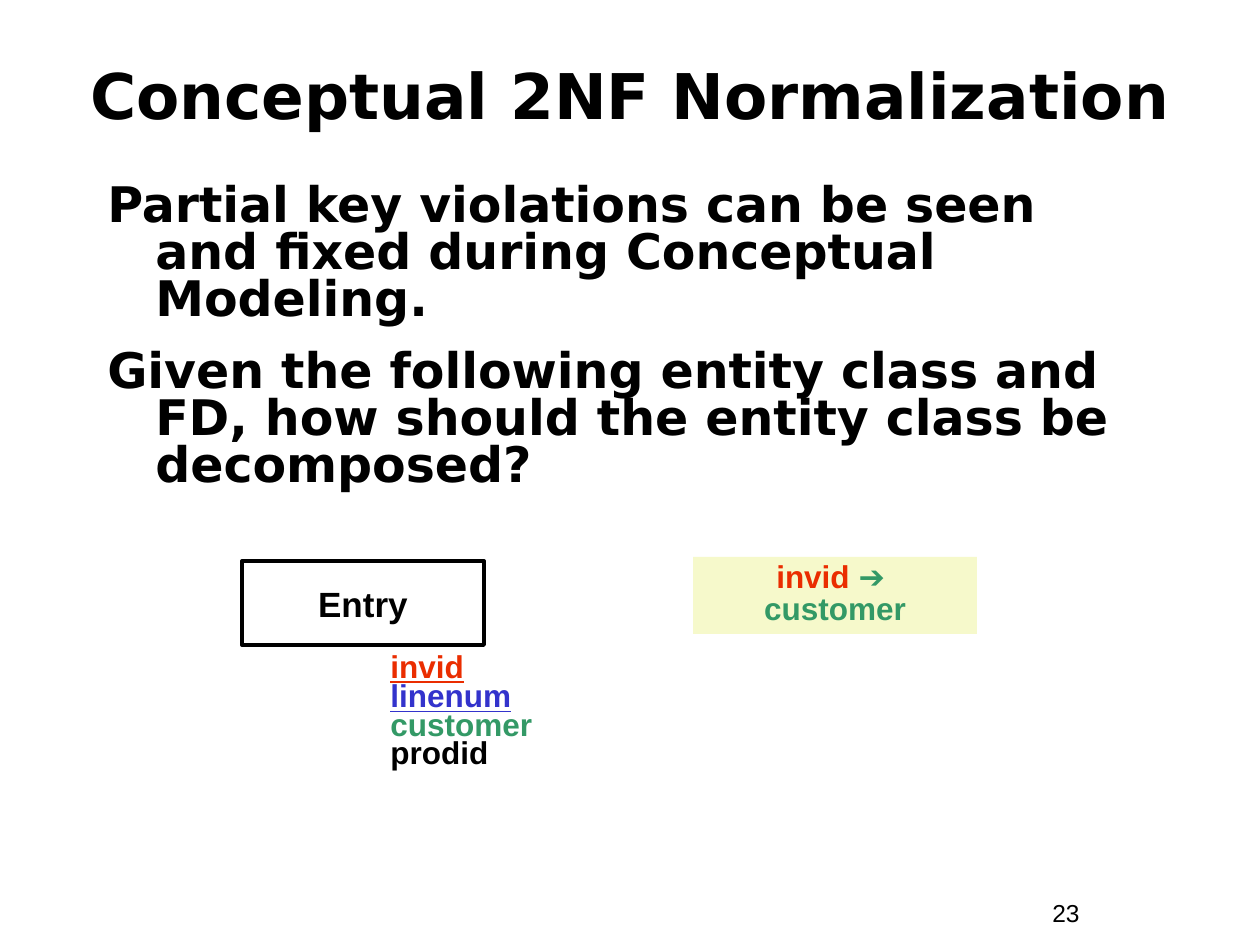
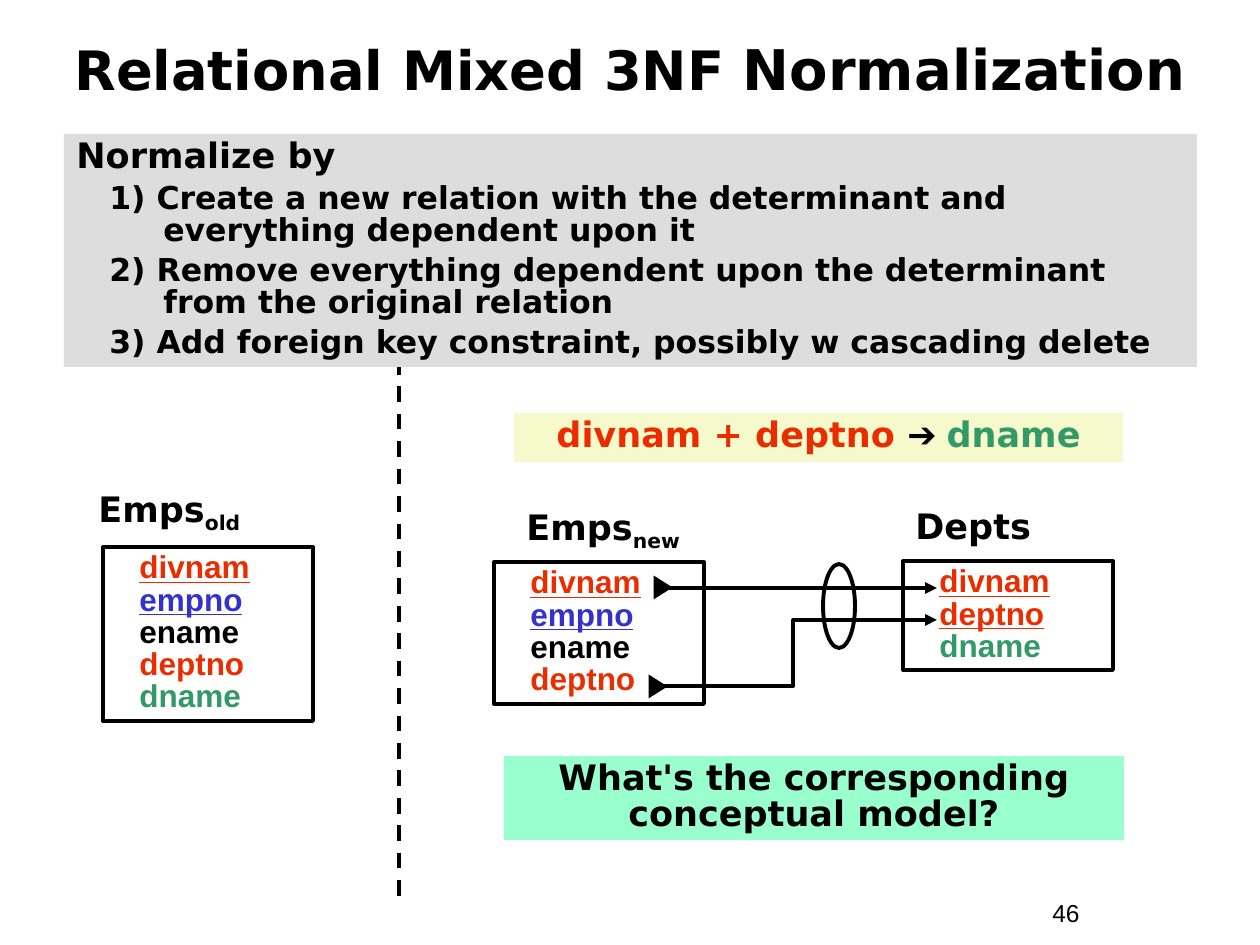
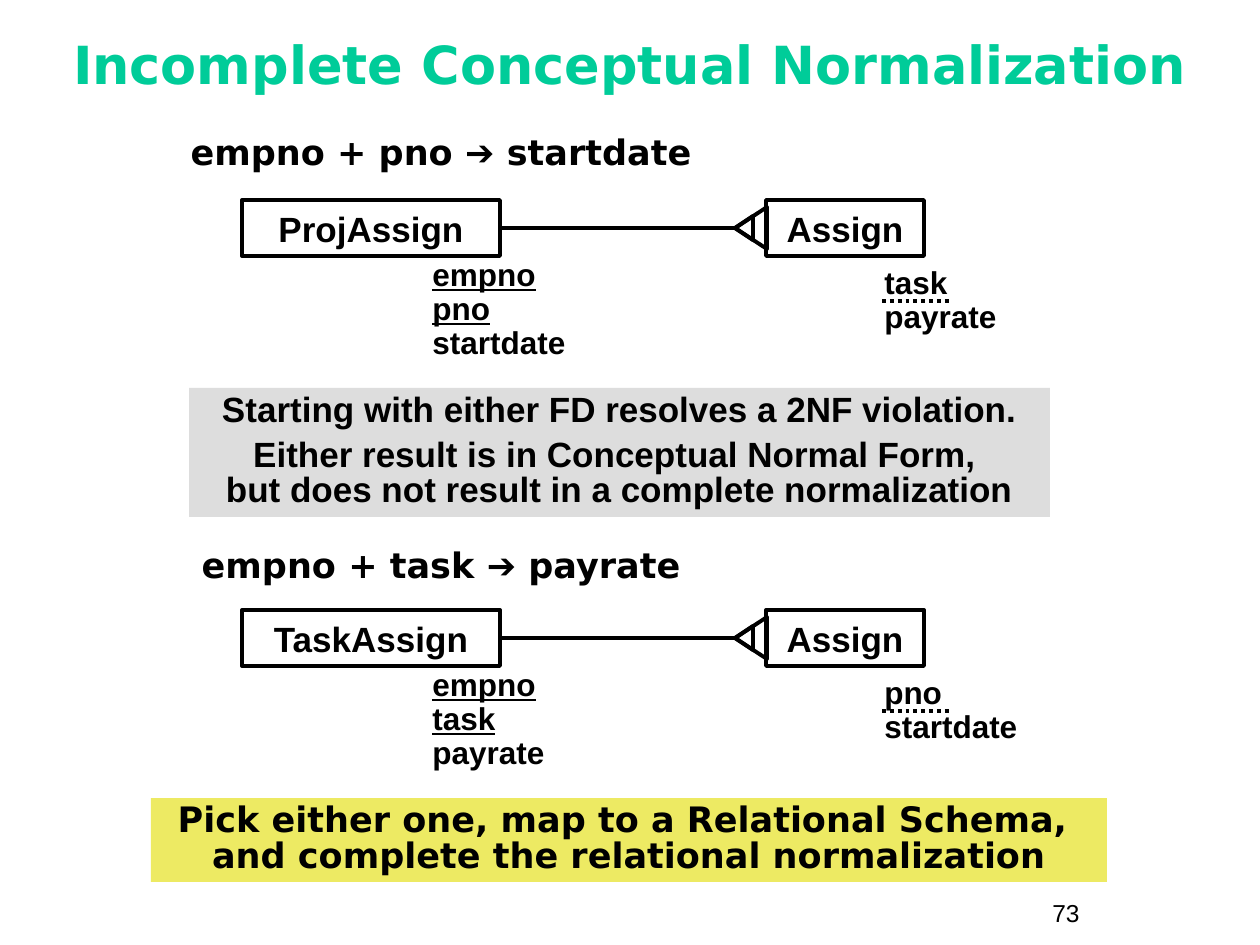
from lxml.etree import SubElement
from pptx import Presentation
from pptx.dml.color import RGBColor
from pptx.enum.dml import MSO_LINE
from pptx.enum.shapes import MSO_CONNECTOR, MSO_SHAPE
from pptx.enum.text import MSO_ANCHOR, PP_ALIGN
from pptx.oxml.ns import qn
from pptx.util import Emu, Pt

PX = 914400 / 126
SANS, ARIAL = "DejaVu Sans", "Arial"
BLACK, RED, BLUE, GREEN, TEAL = "000000", "EA2D00", "3333CC", "339966", "00CC99"
GREY, CREAM, MINT, YELLOW = "DDDDDD", "F6F9CB", "99FFCC", "EDEA63"
STROKE = 2.25

# Run styles for attribute names
RED_KEY = {"color": RED, "under": True}
BLUE_KEY = {"color": BLUE, "under": True}
KEY = {"under": True}
LINK = {"color": RED}
FACT = {"color": GREEN}
PLAIN = {}
SUB = {"base": -25000}
ARROW = {"font": ARIAL}


def para(*runs, **form):
    """Pair the (text, style) runs of a paragraph with its own format."""
    return runs, form


def names(*pairs):
    """Give each attribute name a paragraph of its own."""
    return [para(pair) for pair in pairs]


# Content: slide 1
BODY = [
    "Partial key violations can be seen and fixed during Conceptual Modeling.",
    "Given the following entity class and FD, how should the entity class be decomposed?",
]
ENTRY = [
    para(("invid", RED_KEY), space=0.9),
    *names(("linenum", BLUE_KEY), ("customer", FACT), ("prodid", PLAIN)),
]
ENTRY_FD = [para(("invid ", LINK), ("➔ \ncustomer", FACT))]

# Content: slide 2
STEPS = [
    "1) Create a new relation with the determinant and everything dependent upon it",
    "2) Remove everything dependent upon the determinant from the original relation",
    "3) Add foreign key constraint, possibly w cascading delete",
]
EMPS = [("divnam", RED_KEY), ("empno", BLUE_KEY), ("ename", PLAIN), ("deptno", LINK)]
# name runs, name place, columns, box place
TABLES = [
    ([("Depts", PLAIN)], (903, 498, 210, 55),
     [("divnam", RED_KEY), ("deptno", RED_KEY), ("dname", FACT)], (903, 561, 210, 109)),
    ([("Emps", PLAIN), ("new", SUB)], (514, 499, 189, 60),
     EMPS, (494, 562, 210, 142)),
    ([("Emps", PLAIN), ("old", SUB)], (86, 481, 302, 60),
     EMPS + [("dname", FACT)], (103, 547, 210, 174)),
]
DEPT_FD = [para(("divnam + deptno ", LINK), ("➔ ", ARROW), ("dname", FACT))]

# Content: slide 3 (box top, FD top, determinant, dependent, entity, keys, rest)
MODELS = [
    (200, 131, "empno + pno ", " startdate", "ProjAssign",
     ("empno", "pno", "startdate"), ["task", "payrate"]),
    (610, 544, "empno + task ", " payrate", "TaskAssign",
     ("empno", "task", "payrate"), ["pno", "startdate"]),
]
VERDICT = [
    "Starting with either FD resolves a 2NF violation.",
    para(("Either result is in Conceptual Normal Form, \n"
          "but does not result in a complete normalization", PLAIN), before=5),
]
ADVICE = "Pick either one, map to a Relational Schema, \nand complete the relational normalization"


def px(*nums):
    return [Emu(round(n * PX)) for n in nums]


def rgb(code):
    return RGBColor.from_string(code)


def style(font, name=None, size=None, color=None, bold=None, under=None):
    if name:
        font.name = name
    if size:
        font.size = Pt(size)
    if color:
        font.color.rgb = rgb(color)
    if bold is not None:
        font.bold = bold
    if under:
        font.underline = True


def add_runs(p, runs):
    for text, look in runs:
        for i, line in enumerate(text.split("\n")):
            if i:
                p.add_line_break()
            run = p.add_run()
            run.text = line
            style(run.font, look.get("font"), look.get("size"), look.get("color"),
                  under=look.get("under"))
            if "base" in look:
                run.font._element.set("baseline", str(look["base"]))


def write(shape, paras, wrap=True, anchor=MSO_ANCHOR.TOP, **form):
    """Fill a shape with paragraphs: strings or results of para()."""
    frame = shape.text_frame
    frame.word_wrap = wrap
    frame.vertical_anchor = anchor
    for i, item in enumerate([paras] if isinstance(paras, str) else paras):
        runs, own = para((item, PLAIN)) if isinstance(item, str) else item
        look = {"font": SANS, "size": 20, "color": BLACK, "bold": True,
                "align": PP_ALIGN.LEFT, "space": 1.0, "before": 0, "level": 0,
                "left": 0, "first": 0, **form, **own}
        p = frame.paragraphs[0] if i == 0 else frame.add_paragraph()
        p.alignment, p.level = look["align"], look["level"]
        p.line_spacing = look["space"]
        p.space_before = Pt(look["before"] if i else 0)
        props = p._p.get_or_add_pPr()
        for name, key in (("marL", "left"), ("indent", "first")):
            props.set(name, str(px(look[key])[0]))
        style(p.font, look["font"], look["size"], look["color"], look["bold"])
        add_runs(p, runs)


def label(slide, place, paras, **form):
    write(slide.shapes.add_textbox(*px(*place)), paras, **form)


def draw(slide, place, kind=MSO_SHAPE.RECTANGLE, fill=None, line=None, turn=0):
    shape = slide.shapes.add_shape(kind, *px(*place))
    shape.shadow.inherit = False
    shape.rotation = turn
    if fill:
        shape.fill.solid()
        shape.fill.fore_color.rgb = rgb(fill)
    else:
        shape.fill.background()
    if line:
        shape.line.color.rgb = rgb(line)
        shape.line.width = Pt(STROKE)
    else:
        shape.line.fill.background()
    return shape


def banner(slide, place, fill, paras, **form):
    form = {"align": PP_ALIGN.CENTER, "space": 0.85, **form}
    write(draw(slide, place, fill=fill), paras, **form)


def entity(slide, place, name):
    box = draw(slide, place, line=BLACK)
    write(box, name, wrap=False, anchor=MSO_ANCHOR.MIDDLE, font=ARIAL,
          align=PP_ALIGN.CENTER)
    return box


def link(slide, ends, kind=MSO_CONNECTOR.STRAIGHT, dash=None, arrow=False):
    wire = slide.shapes.add_connector(kind, *px(*ends))
    wire.line.color.rgb = rgb(BLACK)
    wire.line.width = Pt(STROKE)
    if dash:
        wire.line.dash_style = dash
    props = wire._element.spPr
    if arrow:
        SubElement(props.find(qn("a:ln")), qn("a:tailEnd"), type="triangle")
    SubElement(props, qn("a:effectLst"))
    return wire


def start(deck, number, title, top, high, size, color=BLACK):
    """Add a slide with its number and title."""
    slide = deck.slides.add_slide(deck.slide_layouts[6])
    label(slide, (1040, 892, 116, 43), str(number), font=ARIAL, size=14, bold=False)
    label(slide, (42, top, 1176, high), title, size=size, color=color, space=0.85,
          align=PP_ALIGN.CENTER, anchor=MSO_ANCHOR.MIDDLE)
    return slide


def second_form(deck):
    slide = start(deck, 23, "Conceptual 2NF Normalization", 42, 116, 36)
    label(slide, (95, 179, 1071, 273), BODY, size=28, space=0.8, before=14,
          left=48, first=-48)
    entity(slide, (242, 561, 242, 84), "Entry")
    label(slide, (378, 645, 168, 132), ENTRY, font=ARIAL, size=18, space=0.75)
    banner(slide, (693, 557, 284, 77), CREAM, ENTRY_FD, font=ARIAL, size=18)


def third_form(deck):
    title = [para(("Relational Mixed 3NF ", {"size": 31}), ("Normalization", PLAIN))]
    slide = start(deck, 46, title, 21, 105, 32)
    for name, spot, columns, place in TABLES:
        label(slide, spot, [para(*name)])
        write(draw(slide, place, line=BLACK), names(*columns), font=ARIAL, size=18,
              space=0.85, left=24)
    link(slide, (399, 359, 399, 905), dash=MSO_LINE.DASH)
    steps = [para((step, PLAIN), size=18, before=4.5, level=1, left=87, first=-54)
             for step in STEPS]
    banner(slide, (64, 134, 1133, 233), GREY, ["Normalize by"] + steps,
           align=PP_ALIGN.LEFT)
    link(slide, (656, 588, 937, 588), arrow=True)
    link(slide, (650, 686, 937, 620), MSO_CONNECTOR.ELBOW, arrow=True)
    draw(slide, (823, 564, 32, 84), MSO_SHAPE.OVAL, line=BLACK)
    banner(slide, (514, 413, 609, 49), CREAM, DEPT_FD)
    banner(slide, (504, 756, 620, 84), MINT, "What's the corresponding\nconceptual model?")
    for left, top in ((646, 677), (651, 578)):
        draw(slide, (left, top, 24, 19), MSO_SHAPE.ISOSCELES_TRIANGLE, BLACK, turn=90)


def incomplete(deck):
    slide = start(deck, 73, "Incomplete Conceptual Normalization", 10, 116, 30, TEAL)
    for top, fd_top, given, found, name, keys, rest in MODELS:
        mid = top + 28
        entity(slide, (766, top, 158, 56), "Assign")
        box = entity(slide, (242, top, 258, 56), name)
        label(slide, (872, top + 61, 179, 81), rest, font=ARIAL, size=18, space=0.9)
        *ids, last = keys
        label(slide, (420, top + 53, 168, 115),
              names(*[(key, KEY) for key in ids], (last, PLAIN)),
              font=ARIAL, size=18, space=0.9)
        link(slide, (736, mid, 500, mid)).end_connect(box, 3)
        link(slide, (882, top + 101, 951, top + 101), dash=MSO_LINE.ROUND_DOT)
        label(slide, (168, fd_top, 546, 49),
              [para((given, PLAIN), ("➔", ARROW), (found, PLAIN))],
              align=PP_ALIGN.CENTER, space=0.85)
        for center, wide, high in ((751, 42, 32), (744, 24, 18)):
            draw(slide, (center - wide // 2, mid - high // 2, wide, high),
                 MSO_SHAPE.ISOSCELES_TRIANGLE, line=BLACK, turn=270)
    banner(slide, (189, 388, 861, 129), GREY, VERDICT, font=ARIAL)
    banner(slide, (151, 798, 956, 84), YELLOW, ADVICE)


def main():
    deck = Presentation()
    deck.slide_width, deck.slide_height = px(1260, 945)
    second_form(deck)
    third_form(deck)
    incomplete(deck)
    deck.save("out.pptx")


if __name__ == "__main__":
    main()
